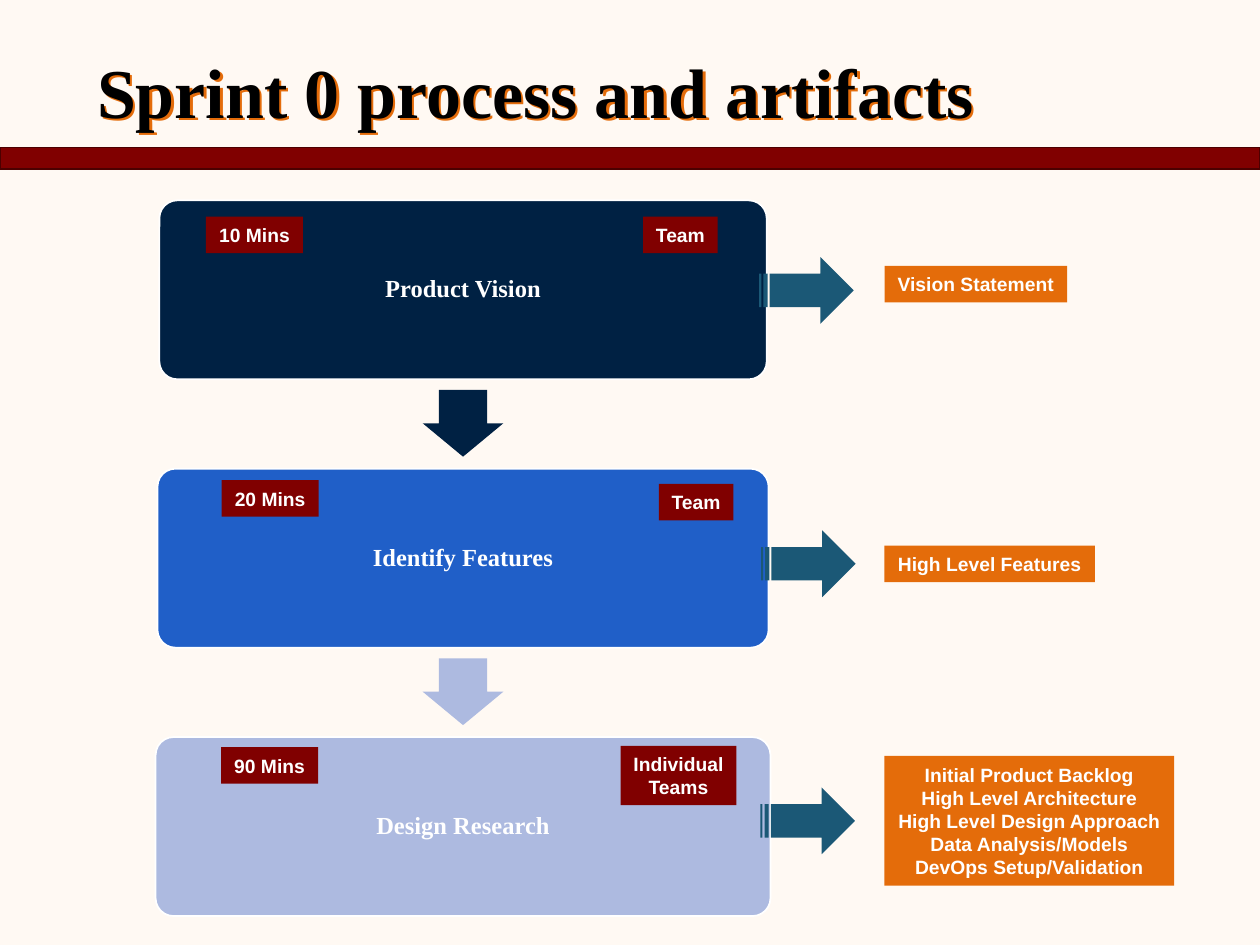
from dataclasses import dataclass
from lxml.etree import SubElement
from pptx import Presentation
from pptx.dml.color import RGBColor
from pptx.enum.shapes import MSO_SHAPE
from pptx.enum.text import MSO_ANCHOR, MSO_AUTO_SIZE, PP_ALIGN
from pptx.oxml.ns import qn
from pptx.util import Inches, Pt


@dataclass(frozen=True)
class Theme:
    paper: str = "FFF9F3"
    ink: str = "000000"
    white: str = "FFFFFF"
    maroon: str = "800000"
    maroon_edge: str = "4C0000"
    orange: str = "E46C0A"
    teal: str = "1B5876"
    navy: str = "002143"
    blue: str = "205FC8"
    lilac: str = "ADBAE0"
    serif: str = "Times New Roman"
    sans: str = "Arial"
    title: int = 40
    stage: int = 14
    tag: int = 11


@dataclass(frozen=True)
class Box:
    x: float
    y: float
    w: float
    h: float

    def inner(self, dx, dy, w, h):
        return Box(self.x + dx, self.y + dy, w, h)

    def emu(self):
        return [Inches(v * CELL) for v in (self.x, self.y, self.w, self.h)]


T = Theme()
CELL = 0.1
COLS, ROWS = 100, 75
PITCH = 21.3

STAGES = [
    dict(name="Product Vision", color=T.navy, time="10 Mins", time_at=(3.7, 1.3),
         team="Team", team_at=(38.4, 1.3, 5.9, 2.9), arrow_at=(47.6, 4.5),
         output="Vision Statement", output_at=(5.2, 14.5, 2.9)),
    dict(name="Identify Features", color=T.blue, time="20 Mins", time_at=(5.1, 0.9),
         team="Team", team_at=(39.8, 1.2, 5.9, 2.9), arrow_at=(47.9, 4.9),
         output="High Level Features", output_at=(6.1, 16.7, 2.9)),
    dict(name="Design Research", color=T.lilac, time="90 Mins", time_at=(5.2, 0.8),
         team="Individual\nTeams", team_at=(36.9, 0.7, 9.2, 4.7), arrow_at=(48, 4),
         output="Initial Product Backlog\nHigh Level Architecture\nHigh Level Design Approach\n"
                "Data Analysis/Models\nDevOps Setup/Validation",
         output_at=(1.5, 23, 10.3)),
]


def rgb(color):
    return RGBColor.from_string(color)


def shape(s, kind, box, fill, line=None):
    sp = s.shapes.add_shape(kind, *box.emu())
    sp.shadow.inherit = False
    sp.fill.solid()
    sp.fill.fore_color.rgb = rgb(fill)
    if line:
        sp.line.color.rgb = rgb(line)
        sp.line.width = Pt(1)
    else:
        sp.line.fill.background()
    return sp


def write(sp, text, font, size, color):
    tf = sp.text_frame
    tf.text = text
    tf.vertical_anchor = MSO_ANCHOR.MIDDLE
    for p in tf.paragraphs:
        p.alignment = PP_ALIGN.CENTER
        for r in p.runs:
            r.font.name = font
            r.font.size = Pt(size)
            r.font.bold = True
            r.font.color.rgb = rgb(color)
    return tf


def tag(s, box, text, fill):
    tf = write(shape(s, MSO_SHAPE.RECTANGLE, box, fill), text, T.sans, T.tag, T.white)
    tf.word_wrap = False
    tf.auto_size = MSO_AUTO_SIZE.SHAPE_TO_FIT_TEXT


def header(s, box):
    shape(s, MSO_SHAPE.RECTANGLE, box.inner(0, box.h - 1.7, box.w, 1.7),
          T.maroon, T.maroon_edge)
    sp = s.shapes.add_textbox(*box.inner(4.3, 2.1, 76.4, 10.1).emu())
    tf = write(sp, "Sprint 0 process and artifacts", T.serif, T.title, T.ink)
    tf.word_wrap = True
    tf.margin_top = tf.margin_bottom = 0
    effects = SubElement(sp.element.spPr, qn("a:effectLst"))
    shadow = SubElement(effects, qn("a:outerShdw"), dist="25400", dir="2700000",
                        algn="ctr", rotWithShape="0")
    SubElement(shadow, qn("a:srgbClr"), val=T.orange)


def stage(s, box, data):
    sp = shape(s, MSO_SHAPE.ROUNDED_RECTANGLE, box, data["color"], T.white)
    sp.adjustments[0] = 0.1
    tf = write(sp, data["name"], T.serif, T.stage, T.white)
    tf.word_wrap = True
    tf.paragraphs[0].line_spacing = 0.9
    tag(s, box.inner(*data["time_at"], 7.7, 2.9), data["time"], T.maroon)
    tag(s, box.inner(*data["team_at"]), data["team"], T.maroon)
    shape(s, MSO_SHAPE.STRIPED_RIGHT_ARROW, box.inner(*data["arrow_at"], 7.5, 5.3), T.teal)


def output(s, box, data):
    dy, w, h = data["output_at"]
    tag(s, box.inner(0, dy, w, h), data["output"], T.orange)


def next_arrow(s, box, color):
    sp = shape(s, MSO_SHAPE.DOWN_ARROW, box, color)
    sp.adjustments[0] = 0.6
    sp.adjustments[1] = 0.5


def main():
    prs = Presentation()
    prs.slide_width, prs.slide_height = Inches(COLS * CELL), Inches(ROWS * CELL)
    s = prs.slides.add_slide(prs.slide_layouts[6])
    s.background.fill.solid()
    s.background.fill.fore_color.rgb = rgb(T.paper)
    header(s, Box(0, 0, COLS, 13.4))
    center = 36.75
    for i, data in enumerate(STAGES):
        top, width = 15.9 + i * PITCH, 48.2 + i * 0.3
        stage(s, Box(center - width / 2, top, width, 14.2), data)
        output(s, Box(70.2, top, 23, 14.2), data)
        if i:
            color = T.navy if i == 1 else T.lilac
            next_arrow(s, Box(center - 3.2, top - 6.25, 6.4, 5.3), color)
    prs.save("out.pptx")


if __name__ == "__main__":
    main()
